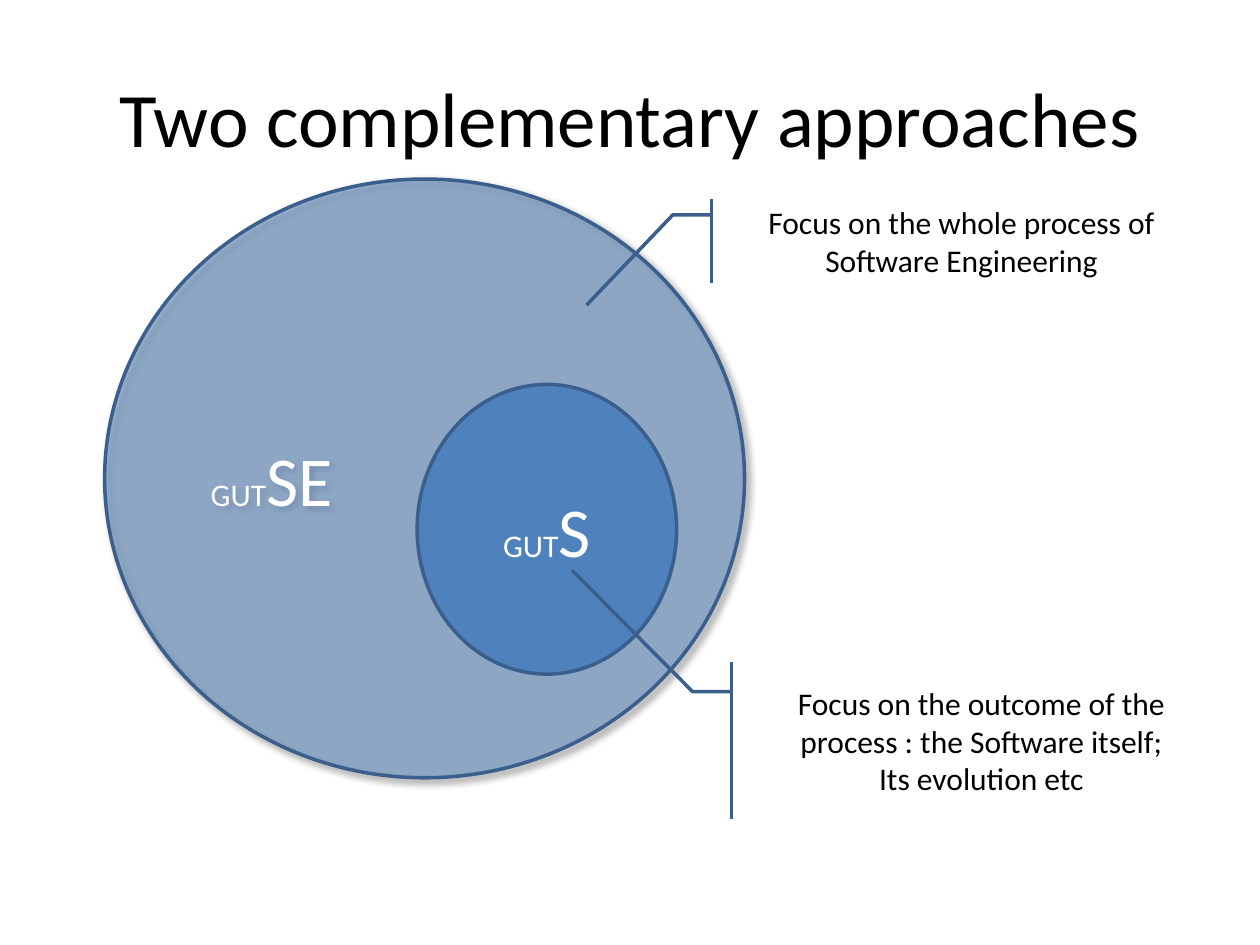
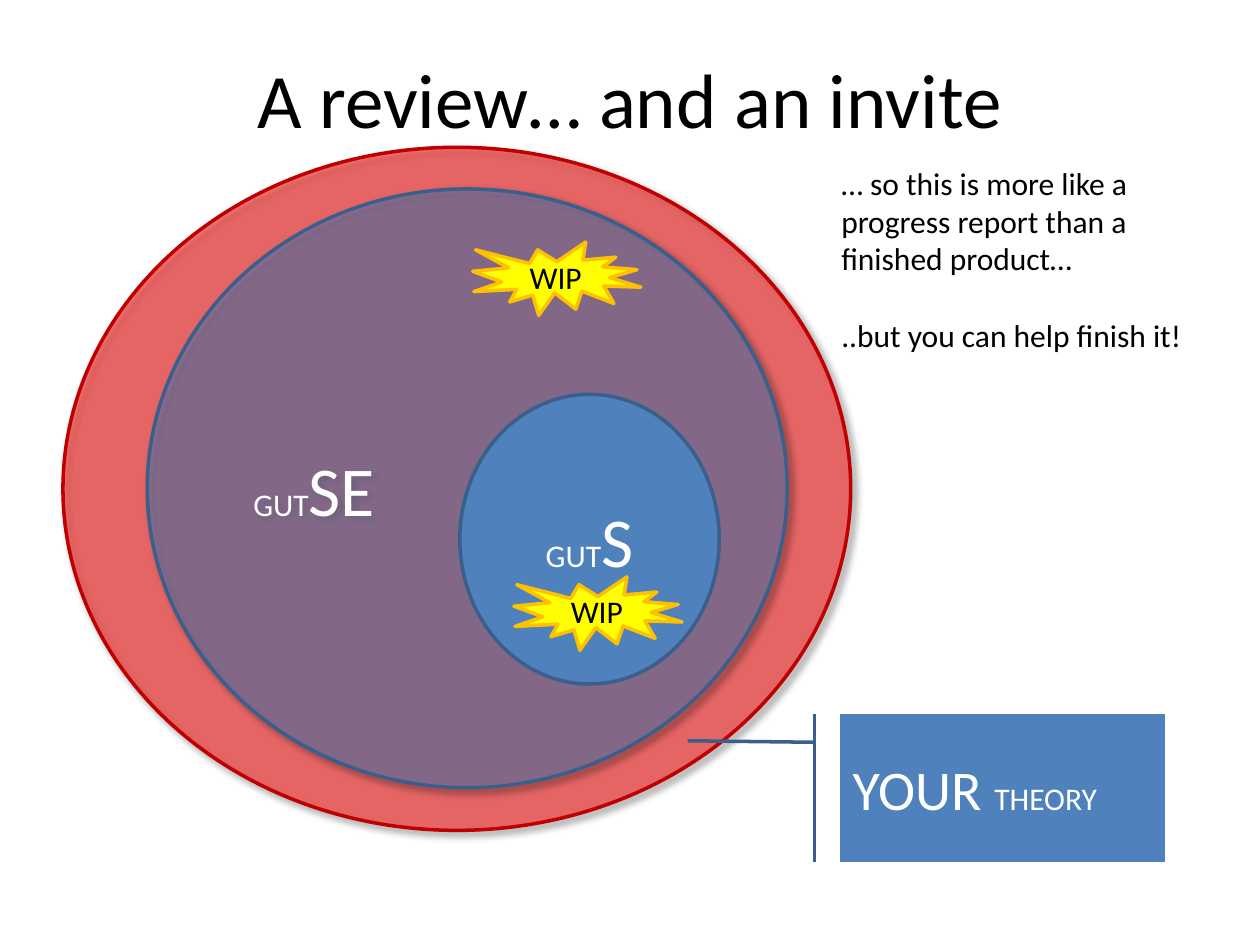
"""Build two slides about nested software engineering theories."""
import dataclasses
import typing

import lxml.etree
import pptx
import pptx.dml.color
import pptx.enum.shapes
import pptx.enum.text
import pptx.oxml
import pptx.oxml.ns
import pptx.util

Cm = pptx.util.Cm
Kind = pptx.enum.shapes.MSO_SHAPE
Align = pptx.enum.text.PP_ALIGN
Anchor = pptx.enum.text.MSO_ANCHOR

FONT = "Calibri"
BLACK, WHITE = "000000", "FFFFFF"
BLUE, DARK_BLUE = "4F81BD", "3A5F8C"
RED, DARK_RED = "FF0000", "C00000"
YELLOW, AMBER = "FFFF00", "FFC000"
BODY_SIZE, LABEL_SIZE, THEORY_SIZE, TITLE_SIZE = 18, 40, 32, 44
LINE_WIDTH = 2
BLANK_LAYOUT = 6

SHADOW = (
    f'<a:effectLst {pptx.oxml.ns.nsdecls("a")}>'
    '<a:outerShdw blurRad="50800" dist="38100" dir="2700000" algn="tl" rotWithShape="0">'
    '<a:srgbClr val="000000"><a:alpha val="40000"/></a:srgbClr>'
    '</a:outerShdw></a:effectLst>'
)


class Run(typing.NamedTuple):
    """A stretch of text in one size."""
    text: str
    size: float = BODY_SIZE


Paragraphs = typing.Sequence[typing.Sequence[Run]]


@dataclasses.dataclass(frozen=True)
class Box:
    """A place on the slide in centimetres."""
    left: float
    top: float
    width: float
    height: float

    def lengths(self) -> list[pptx.util.Length]:
        """Return the four lengths in slide units."""
        return [Cm(value) for value in dataclasses.astuple(self)]


@dataclasses.dataclass(frozen=True)
class Look:
    """The style shared by shapes of one sort."""
    kind: Kind
    line: str
    fill: str | None = None
    text_color: str = WHITE
    align: Align = Align.CENTER
    translucent: bool = False


WHOLE = Look(Kind.OVAL, DARK_BLUE, BLUE, align=Align.LEFT, translucent=True)
CORE = Look(Kind.OVAL, DARK_BLUE, BLUE)
SURROUNDING = Look(Kind.OVAL, DARK_RED, RED, translucent=True)
WIP = Look(Kind.EXPLOSION1, AMBER, YELLOW, BLACK)
FOCUS = Look(Kind.LINE_CALLOUT_2_ACCENT_BAR, DARK_BLUE, text_color=BLACK)
INVITE = Look(Kind.LINE_CALLOUT_1_ACCENT_BAR, DARK_BLUE, BLUE, align=Align.LEFT)


def rgb(color: str) -> pptx.dml.color.RGBColor:
    """Turn a hex string into a colour."""
    return pptx.dml.color.RGBColor.from_string(color)


def apply(target: typing.Any, values: dict[str, typing.Any]) -> None:
    """Set every format value on the target."""
    for attribute, value in values.items():
        setattr(target, attribute, value)


def write(frame: typing.Any, paragraphs: Paragraphs, color: str, align: Align,
          anchor: Anchor = Anchor.MIDDLE, gap: float = 0) -> None:
    """Fill a text frame, with a gap in points between paragraphs."""
    apply(frame, {"word_wrap": True, "vertical_anchor": anchor})
    for index, runs in enumerate(paragraphs):
        paragraph = frame.add_paragraph() if index else frame.paragraphs[0]
        paragraph.alignment = align
        if index and gap:
            paragraph.space_before = pptx.util.Pt(gap)
        for text, size in runs:
            run = paragraph.add_run()
            run.text = text
            apply(run.font, {"name": FONT, "size": pptx.util.Pt(size)})
            run.font.color.rgb = rgb(color)


def make_translucent(shape: typing.Any) -> None:
    """Halve the opacity of the fill and cast a soft shadow."""
    properties = shape.fill._xPr
    fill_color = properties.find(pptx.oxml.ns.qn("a:solidFill"))[0]
    lxml.etree.SubElement(fill_color, pptx.oxml.ns.qn("a:alpha"), val="50000")
    effects = properties.find(pptx.oxml.ns.qn("a:effectLst"))
    properties.replace(effects, pptx.oxml.parse_xml(SHADOW))


def draw(slide: typing.Any, look: Look, box: Box, paragraphs: Paragraphs = (),
         adjustments: typing.Sequence[float] = ()) -> None:
    """Draw one preset shape with its text."""
    shape = slide.shapes.add_shape(look.kind, *box.lengths())
    shape.shadow.inherit = False
    for index, value in enumerate(adjustments):
        shape.adjustments[index] = value
    if look.fill:
        shape.fill.solid()
        shape.fill.fore_color.rgb = rgb(look.fill)
    else:
        shape.fill.background()
    shape.line.color.rgb = rgb(look.line)
    shape.line.width = pptx.util.Pt(LINE_WIDTH)
    if look.translucent:
        make_translucent(shape)
    write(shape.text_frame, paragraphs, look.text_color, look.align)


def draw_title(slide: typing.Any, title: str, height: float) -> None:
    """Write the slide title."""
    heading = slide.shapes.add_textbox(*Box(1.27, 0.76, 22.86, height).lengths())
    write(heading.text_frame, [[Run(title, TITLE_SIZE)]], BLACK, Align.CENTER)


def draw_theories(slide: typing.Any, left: float, top: float) -> None:
    """Draw the inner theory nested in the wider one."""
    draw(slide, WHOLE, Box(left, top, 12.9, 12.07), [[Run("GUT"), Run("SE", LABEL_SIZE)]])
    draw(slide, CORE, Box(left + 6.3, top + 4.14, 5.23, 5.84),
         [[Run("GUT"), Run("S", LABEL_SIZE)]])


def build_approaches(slide: typing.Any) -> None:
    """Build the slide that compares both approaches."""
    draw_title(slide, "Two complementary approaches", 3.18)
    draw_theories(slide, 2.11, 3.61)
    elbow = (0.19, -0.08, 0.19, -0.17)
    draw(slide, FOCUS, Box(15.04, 4.01, 8.69, 1.7),
         [[Run("Focus on the whole process of Software Engineering")]], (*elbow, 1.26, -0.37))
    draw(slide, FOCUS, Box(15.44, 13.34, 8.69, 3.18),
         [[Run("Focus on the outcome of the process : the Software itself;")],
          [Run("Its evolution etc")]], (*elbow, -0.58, -0.45))


def build_invite(slide: typing.Any) -> None:
    """Build the slide that invites further work."""
    draw(slide, SURROUNDING, Box(1.27, 2.97, 15.88, 13.77))
    draw_title(slide, "A review… and an invite", 2.41)
    draw_theories(slide, 2.97, 3.81)
    for left, top in ((10.36, 11.63), (9.53, 4.88)):
        draw(slide, WIP, Box(left, top, 3.39, 1.48), [[Run("WIP")]])
    remark = slide.shapes.add_textbox(*Box(16.71, 3.18, 7.62, 4.11).lengths())
    write(remark.text_frame,
          [[Run("… so this is more like a progress report than a finished product…")],
           [Run("..but you can help finish it!")]],
          BLACK, Align.LEFT, Anchor.TOP, gap=22)
    draw(slide, INVITE, Box(16.94, 14.4, 6.55, 2.97),
         [[Run("YOUR ", THEORY_SIZE), Run("THEORY")]], (0.19, -0.08, 0.18, -0.47))


def main() -> None:
    """Build and save the presentation."""
    deck = pptx.Presentation()
    apply(deck, {"slide_width": Cm(25.4), "slide_height": Cm(19.05)})
    for build in (build_approaches, build_invite):
        build(deck.slides.add_slide(deck.slide_layouts[BLANK_LAYOUT]))
    deck.save("out.pptx")


if __name__ == "__main__":
    main()
